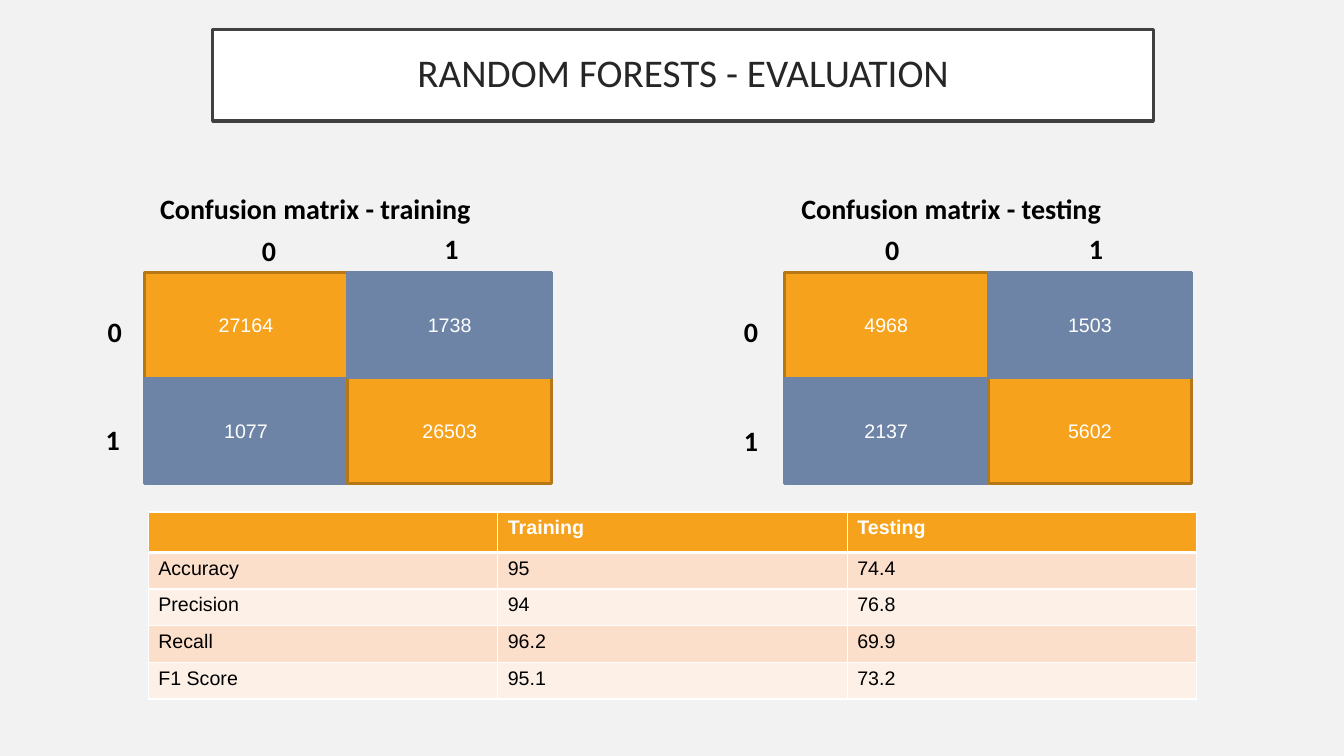
from dataclasses import dataclass

from lxml.etree import SubElement
from pptx import Presentation
from pptx.dml.color import RGBColor
from pptx.enum.shapes import MSO_SHAPE as Preset
from pptx.enum.text import MSO_ANCHOR as Anchor, MSO_AUTO_SIZE as AutoSize, PP_ALIGN as Align
from pptx.oxml.ns import qn
from pptx.shapes.autoshape import Shape
from pptx.slide import Slide
from pptx.table import _Cell as Cell
from pptx.text.text import _Paragraph as Paragraph
from pptx.util import Emu, Pt

EMU_PER_PX = 9144  # 100 px to the inch

BACKGROUND = RGBColor(0xF2, 0xF2, 0xF2)
WHITE = RGBColor(0xFF, 0xFF, 0xFF)
BLACK = RGBColor(0x00, 0x00, 0x00)
TITLE_TEXT = RGBColor(0x26, 0x26, 0x26)
TITLE_BORDER = RGBColor(0x40, 0x40, 0x40)
ORANGE = RGBColor(0xF6, 0xA2, 0x1D)
DARK_ORANGE = RGBColor(0xB6, 0x78, 0x15)
BLUE = RGBColor(0x6D, 0x84, 0xA7)
BAND_DARK = RGBColor(0xFB, 0xDF, 0xCB)
BAND_LIGHT = RGBColor(0xFD, 0xF0, 0xE7)

TITLE_FONT = {"name": "Calibri", "size": Pt(28), "bold": False}
LABEL_FONT = {"name": "Calibri", "size": Pt(20), "bold": True}
VALUE_FONT = {"name": "Arial", "size": Pt(14), "bold": False}
HEADER_FONT = VALUE_FONT | {"bold": True}

CELL_WIDTH, CELL_HEIGHT = 202, 105
LABEL_WIDTH, LABEL_HEIGHT = 65, 44
DRAW_ORDER = ((0, 0), (1, 0), (1, 1), (0, 1))

METRICS = (
    ("", "Training", "Testing"),
    ("Accuracy", "95", "74.4"),
    ("Precision", "94", "76.8"),
    ("Recall", "96.2", "69.9"),
    ("F1 Score", "95.1", "73.2"),
)


@dataclass(frozen=True)
class Box:
    left: int
    top: int
    width: int
    height: int

    def emu(self) -> list[Emu]:
        return [px(value) for value in (self.left, self.top, self.width, self.height)]


@dataclass(frozen=True)
class ConfusionMatrix:
    caption: str
    caption_left: int
    left: int
    top: int
    counts: tuple[tuple[int, int], tuple[int, int]]
    column_labels: tuple[tuple[int, int], tuple[int, int]]
    row_labels: tuple[tuple[int, int], tuple[int, int]]


MATRICES = (
    ConfusionMatrix("Confusion matrix - testing", 785, 778, 270, ((4968, 1503), (2137, 5602)),
                    ((868, 226), (1070, 225)), ((728, 307), (728, 415))),
    ConfusionMatrix("Confusion matrix - training", 149, 143, 270, ((27164, 1738), (1077, 26503)),
                    ((250, 227), (431, 225)), ((97, 307), (95, 414))),
)


def px(value: int) -> Emu:
    return Emu(value * EMU_PER_PX)


def write_text(paragraph: Paragraph, text: str, font_format: dict, color: RGBColor) -> None:
    run = paragraph.add_run()
    run.text = text
    for name, value in font_format.items():
        setattr(run.font, name, value)
    run.font.color.rgb = color


def add_rectangle(slide: Slide, box: Box, text: str, font_format: dict, text_color: RGBColor,
                  fill: RGBColor, border: RGBColor, border_width: float) -> Shape:
    shape = slide.shapes.add_shape(Preset.RECTANGLE, *box.emu())
    shape.shadow.inherit = False
    shape.fill.solid()
    shape.fill.fore_color.rgb = fill
    shape.line.color.rgb = border
    shape.line.width = Pt(border_width)
    shape.text_frame.vertical_anchor = Anchor.MIDDLE
    paragraph = shape.text_frame.paragraphs[0]
    paragraph.alignment = Align.CENTER
    write_text(paragraph, text, font_format, text_color)
    return shape


def add_title(slide: Slide) -> None:
    title = add_rectangle(slide, Box(211, 29, 933, 91), "RANDOM FORESTS - EVALUATION",
                          TITLE_FONT, TITLE_TEXT, WHITE, TITLE_BORDER, 2.5)
    for side in ("left", "top", "right", "bottom"):
        setattr(title.text_frame, f"margin_{side}", px(20))
    title.text_frame.paragraphs[0].line_spacing = 0.9


def add_label(slide: Slide, box: Box, text: str) -> None:
    frame = slide.shapes.add_textbox(*box.emu()).text_frame
    frame.word_wrap = True
    frame.auto_size = AutoSize.SHAPE_TO_FIT_TEXT
    write_text(frame.paragraphs[0], text, LABEL_FONT, BLACK)


def add_matrix(slide: Slide, matrix: ConfusionMatrix) -> None:
    """Draw the four counts, the class labels of both axes and the caption."""
    for row, column in DRAW_ORDER:
        fill, border = (ORANGE, DARK_ORANGE) if row == column else (BLUE, BLUE)
        box = Box(matrix.left + column * CELL_WIDTH, matrix.top + row * CELL_HEIGHT,
                  CELL_WIDTH, CELL_HEIGHT)
        add_rectangle(slide, box, str(matrix.counts[row][column]), VALUE_FONT, WHITE,
                      fill, border, 2)
    for labels in (matrix.column_labels, matrix.row_labels):
        for class_number, (left, top) in enumerate(labels):
            add_label(slide, Box(left, top, LABEL_WIDTH, LABEL_HEIGHT), str(class_number))
    add_label(slide, Box(matrix.caption_left, 185, 391, LABEL_HEIGHT), matrix.caption)


def set_borders(cell: Cell, widths: dict[str, int]) -> None:
    """Give each side of the cell a white line of the given width in points."""
    properties = cell._tc.get_or_add_tcPr()
    for side, width in widths.items():
        line = SubElement(properties, qn(f"a:ln{side}"), w=str(Pt(width)))
        fill = SubElement(line, qn("a:solidFill"))
        SubElement(fill, qn("a:srgbClr"), val=str(WHITE))


def add_metrics_table(slide: Slide, box: Box) -> None:
    table = slide.shapes.add_table(len(METRICS), len(METRICS[0]), *box.emu()).table
    for row, texts in enumerate(METRICS):
        if row == 0:
            fill, font_format, color = ORANGE, HEADER_FONT, WHITE
        else:
            fill, font_format, color = (BAND_DARK if row % 2 else BAND_LIGHT), VALUE_FONT, BLACK
        for column, text in enumerate(texts):
            cell = table.cell(row, column)
            set_borders(cell, {"L": 1, "R": 1, "T": 3 if row == 1 else 1, "B": 3 if row == 0 else 1})
            cell.fill.solid()
            cell.fill.fore_color.rgb = fill
            write_text(cell.text_frame.paragraphs[0], text, font_format, color)


def main() -> None:
    presentation = Presentation()
    presentation.slide_width, presentation.slide_height = px(1333), px(750)
    slide = presentation.slides.add_slide(presentation.slide_layouts[6])
    slide.background.fill.solid()
    slide.background.fill.fore_color.rgb = BACKGROUND
    add_title(slide)
    for matrix in MATRICES:
        add_matrix(slide, matrix)
    add_metrics_table(slide, Box(147, 508, 1040, 182))
    presentation.save("out.pptx")


if __name__ == "__main__":
    main()
